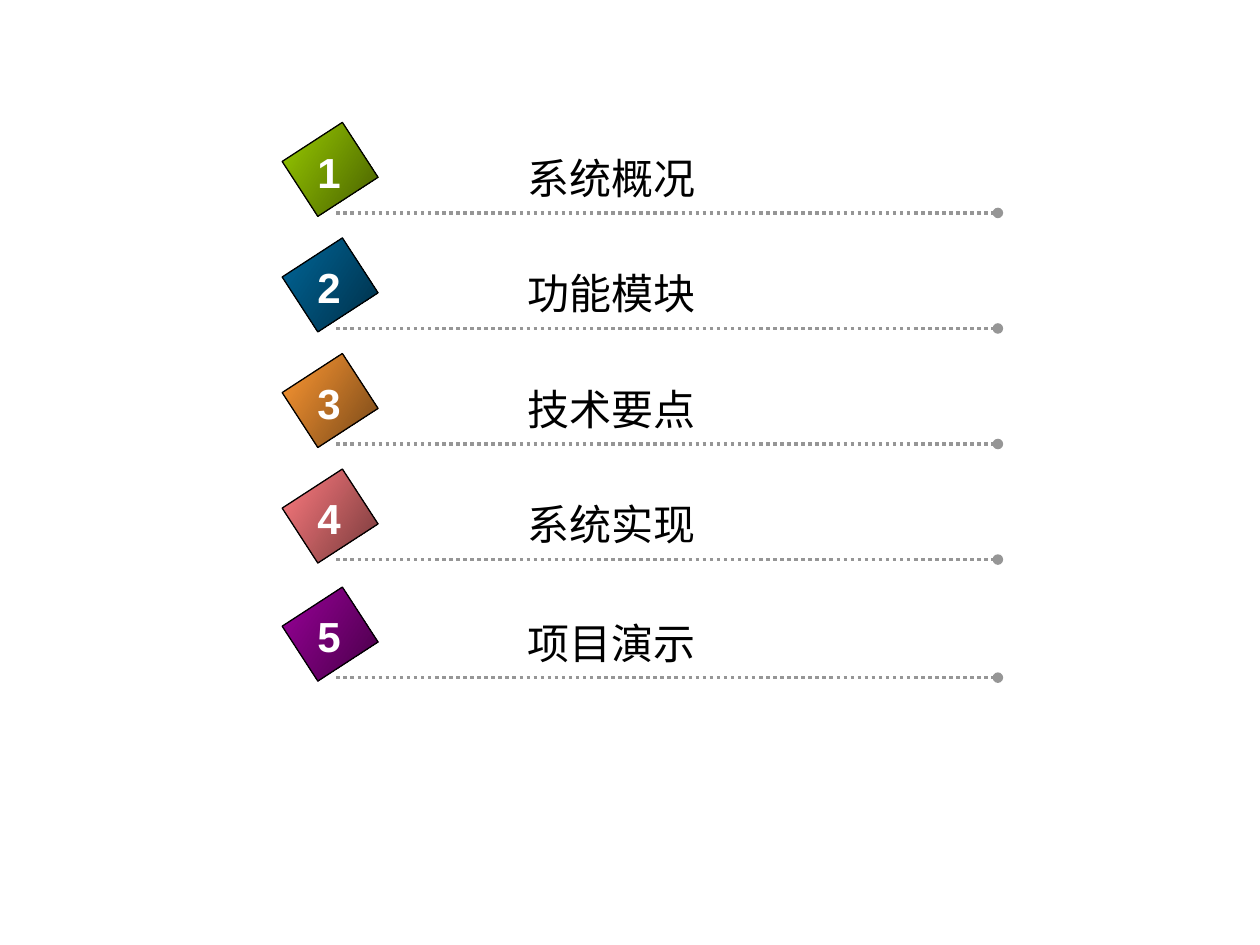
from pptx import Presentation
from pptx import util as u
from pptx.dml.color import RGBColor
from pptx.enum import dml, shapes, text
from pptx.oxml import ns, xmlchemy

# Row geometry in inches
FIRST_RULE, ROW_PITCH, LAST_ROW_DROP = 1.69, 0.917, 0.02
RULE_LEFT, RULE_RIGHT = 2.67, 7.92
FONT = "Arial"

# Heading, light and dark end of the marker
AGENDA = [
    ("系统概况", "99CC00", "475E00"),
    ("功能模块", "006699", "002F47"),
    ("技术要点", "FF9933", "764718"),
    ("系统实现", "FF7C80", "76393B"),
    ("项目演示", "990099", "470047"),
]


def colour(hex_string):
    return RGBColor.from_string(hex_string)


def inches(*lengths):
    return [u.Inches(length) for length in lengths]


def add_rule(group, y):
    """Dotted line that ends in a round dot."""
    rule = group.shapes.add_connector(
        shapes.MSO_CONNECTOR.STRAIGHT, *inches(RULE_LEFT, y, RULE_RIGHT, y))
    rule.line.color.rgb = colour("969696")
    rule.line.width = u.Pt(2)
    rule.line.dash_style = dml.MSO_LINE.ROUND_DOT
    outline = rule.line._get_or_add_ln()
    tail = xmlchemy.OxmlElement("a:tailEnd")
    tail.set("type", "oval")
    outline.append(tail)
    rule._element.spPr.append(xmlchemy.OxmlElement("a:effectLst"))


def add_marker(group, y, light, dark):
    """Tilted block whose gradient keeps its direction on the page."""
    marker = group.shapes.add_shape(
        shapes.MSO_SHAPE.RECTANGLE, *inches(2.36, y, 0.52, 0.57))
    marker.rotation = 57
    marker.shadow.inherit = False
    marker.fill.gradient()
    marker.fill.gradient_angle = 360 - 33
    for stop, shade in zip(marker.fill.gradient_stops, (light, dark)):
        stop.color.rgb = colour(shade)
    marker._element.spPr.find(ns.qn("a:gradFill")).set("rotWithShape", "0")
    marker.line.color.rgb = colour("000000")
    marker.line.width = u.Pt(0.75)


def add_label(group, left, y, width, wording, shade, bold=False):
    box = group.shapes.add_textbox(*inches(left, y, width, 0.5))
    frame = box.text_frame
    frame.text = wording
    frame.word_wrap = False
    frame.auto_size = text.MSO_AUTO_SIZE.SHAPE_TO_FIT_TEXT
    para = frame.paragraphs[0]
    para.alignment = text.PP_ALIGN.CENTER
    font = para.runs[0].font
    font.name, font.size, font.bold = FONT, u.Pt(24), bold
    font.color.rgb = colour(shade)


def add_row(page, number, heading, light, dark):
    y = FIRST_RULE + (number - 1) * ROW_PITCH
    if number == len(AGENDA):
        y += LAST_ROW_DROP
    group = page.shapes.add_group_shape()
    add_rule(group, y)
    add_marker(group, y - 0.63, light, dark)
    add_label(group, 4.09, y - 0.53, 1.53, heading, "000000")
    add_label(group, 2.42, y - 0.58, 0.38, str(number), "FFFFFF", bold=True)


def main():
    deck = Presentation()
    deck.slide_width, deck.slide_height = inches(10, 7.5)
    page = deck.slides.add_slide(deck.slide_layouts[6])
    for number, entry in enumerate(AGENDA, start=1):
        add_row(page, number, *entry)
    deck.save("out.pptx")


if __name__ == "__main__":
    main()
